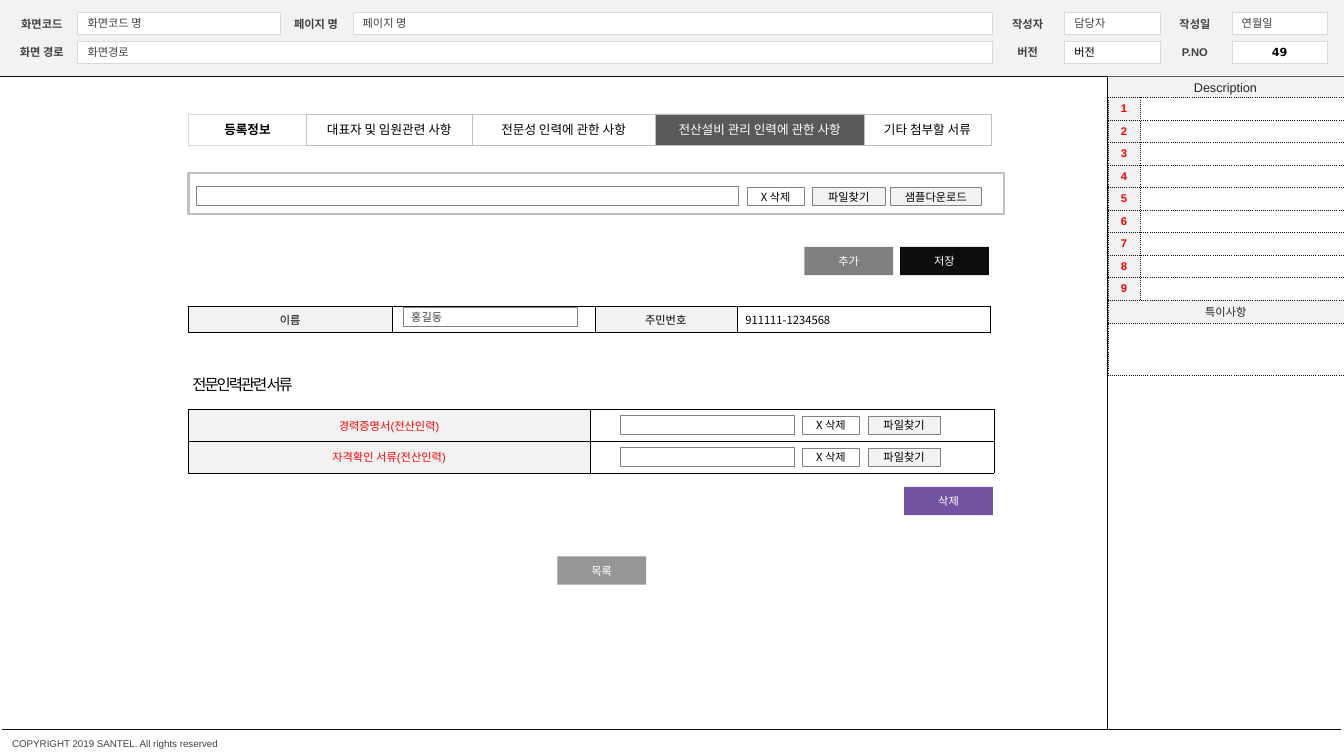
from itertools import accumulate

from lxml import etree
from pptx import Presentation
from pptx import util as u
from pptx.dml.color import RGBColor
from pptx.enum import dml, shapes, text
from pptx.oxml import ns

GRID = u.Inches(0.1)  # one column or row of the slide grid
COLS, ROWS = 133.33, 75
INK = {
    "white": "FFFFFF", "black": "000000", "near": "0D0D0D", "pale": "F2F2F2",
    "mist": "D9D9D9", "silver": "BFBFBF", "steel": "808080", "ash": "969696",
    "slate": "595959", "label": "404040", "head": "262626",
    "red": "FF0000", "violet": "7153A1",
}
SANS, KOREAN = "Arial", "Noto Sans CJK KR"
LEFT, MID = text.PP_ALIGN.LEFT, text.PP_ALIGN.CENTER


def color(name):
    return RGBColor.from_string(INK[name])


def span(n):
    return u.Emu(round(n * GRID))


def inside(box, x, y, w, h):
    """Turn a place within a box into a place on the slide."""
    return box[0] + x, box[1] + y, w, h


def write(frame, words, size=8, ink="black", font=KOREAN, bold=False, align=MID):
    frame.text = words
    para = frame.paragraphs[0]
    para.alignment = align
    for run in para.runs:
        run.font.size, run.font.bold, run.font.name = u.Pt(size), bold, font
        run.font.color.rgb = color(ink)
        east = etree.SubElement(run.font._element, ns.qn("a:ea"))
        east.set("typeface", KOREAN)


def fit(frame, pad=0):
    frame.margin_left = frame.margin_right = span(pad)
    frame.margin_top = frame.margin_bottom = 0
    frame.vertical_anchor = text.MSO_ANCHOR.MIDDLE
    frame.word_wrap = False


def rect(slide, box, words="", fill=None, line=None, width=0.5, pad=0, **style):
    shape = slide.shapes.add_shape(shapes.MSO_SHAPE.RECTANGLE, *map(span, box))
    shape.shadow.inherit = False
    if fill:
        shape.fill.solid()
        shape.fill.fore_color.rgb = color(fill)
    else:
        shape.fill.background()
    if line:
        shape.line.color.rgb = color(line)
        shape.line.width = u.Pt(width)
    else:
        shape.line.fill.background()
    if words:
        fit(shape.text_frame, pad)
        write(shape.text_frame, words, **style)


def label(slide, box, words, **style):
    frame = slide.shapes.add_textbox(*map(span, box)).text_frame
    fit(frame)
    write(frame, words, **style)
    return frame


def rule(slide, x1, y1, x2, y2):
    line = slide.shapes.add_connector(
        shapes.MSO_CONNECTOR.STRAIGHT, *map(span, (x1, y1, x2, y2)))
    line.line.color.rgb = color("near")
    line.line.width = u.Pt(0.25)
    line.line.dash_style = dml.MSO_LINE.ROUND_DOT
    etree.SubElement(line._element.spPr, ns.qn("a:effectLst"))


def edge(cell, ink, width, dash):
    props = cell._tc.get_or_add_tcPr()
    for i, side in enumerate(("lnL", "lnR", "lnT", "lnB")):
        line = etree.Element(ns.qn("a:" + side), w=str(u.Pt(width)))
        fill = etree.SubElement(line, ns.qn("a:solidFill"))
        etree.SubElement(fill, ns.qn("a:srgbClr"), val=INK[ink])
        etree.SubElement(line, ns.qn("a:prstDash"), val=dash)
        props.insert(i, line)


def table(slide, x, y, cols, rows, border):
    """Add a table of white, empty cells with the given border."""
    box = x, y, sum(cols), sum(rows)
    grid = slide.shapes.add_table(len(rows), len(cols), *map(span, box)).table
    grid.first_row = grid.horz_banding = False
    for col, w in zip(grid.columns, cols):
        col.width = span(w)
    for row, h in zip(grid.rows, rows):
        row.height = span(h)
    for cell in grid.iter_cells():
        cell.margin_left = cell.margin_right = span(0.2)
        cell.margin_top = cell.margin_bottom = span(0.2)
        cell.vertical_anchor = text.MSO_ANCHOR.MIDDLE
        shade(cell, "white")
        edge(cell, *border)
        para = cell.text_frame.paragraphs[0]._p
        etree.SubElement(para, ns.qn("a:endParaRPr"), sz="800")
    return grid


def shade(cell, ink):
    cell.fill.solid()
    cell.fill.fore_color.rgb = color(ink)


def title(cell, words, **style):
    shade(cell, "pale")
    write(cell.text_frame, words, **style)


def header(slide, box):
    rect(slide, box, fill="pale")
    fields = [  # name, value, left of name, row, left and width of value
        ("화면코드", "화면코드 명", 0.6, 0, 7.7, 20.1),
        ("화면 경로", "화면경로", 0.6, 1, 7.7, 90.7),
        ("페이지 명", "페이지 명", 27.8, 0, 35, 63.4),
        ("작성자", "담당자", 98.4, 0, 105.6, 9.5),
        ("버전", "버전", 98.4, 1, 105.6, 9.5),
        ("작성일", "연월일", 115, 0, 122.2, 9.5),
        ("P.NO", "49", 115, 1, 122.2, 9.5),
    ]
    for name, value, x, row, left, wide in fields:
        y = 1.2 + 2.85 * row
        label(slide, inside(box, x, y + 0.5, 7.1, 1.3), name,
              font=SANS, ink="label", bold=True)
        style = dict(font=SANS, ink="label", align=LEFT, pad=1)
        if value == "버전":
            style["ink"] = "black"
        if name == "P.NO":
            style = dict(font="DejaVu Sans", bold=True)
        rect(slide, inside(box, left, y, wide, 2.2), value,
             fill="white", line="mist", width=0.25, **style)
    rule(slide, 0, box[3], COLS, box[3])


def notes(slide, box):
    """Draw the description column at the right."""
    x, y, w, h = box
    rect(slide, (x, y, w, 2.1), "Description", fill="pale",
         size=9, ink="head", font=SANS)
    rule(slide, x, y + 2.1, x + w, y + 2.1)
    rule(slide, x, y, x, y + h)
    rows = [2.23] * 9 + [2.3, 5.2]
    grid = table(slide, x + 0.1, y + 2.1, (3.2, w - 3.3), rows,
                 ("near", 0.5, "sysDot"))
    for i in range(9):
        title(grid.cell(i, 0), str(i + 1), ink="red", font=SANS, bold=True)
    for i in (9, 10):
        grid.cell(i, 0).merge(grid.cell(i, 1))
    title(grid.cell(9, 0), "특이사항", ink="head", font=SANS)


def tabs(slide, box):
    names = ("등록정보", "대표자 및 임원관련 사항", "전문성 인력에 관한 사항",
             "전산설비 관리 인력에 관한 사항", "기타 첨부할 서류")
    wide = (11.7, 16.4, 18.2, 20.7, 12.6)
    lefts = accumulate(wide[:-1], initial=0)
    for i, (name, x, w) in enumerate(zip(names, lefts, wide)):
        live = i == 3
        rect(slide, inside(box, x, 0, w, box[3]), name,
             fill="slate" if live else None, ink="white" if live else "black",
             line="silver" if i else "mist", width=0.25, size=9, bold=i == 0)


def upload(slide, x, y, wide, sample=False):
    """Draw a file field with its buttons."""
    rect(slide, (x, y, wide, 1.9), fill="white", line="steel")
    keys = [("X 삭제", 5.7, "white", 0.8), ("파일찾기", 7.2, "pale", 0.8)]
    if sample:
        keys.append(("샘플다운로드", 9.1, "pale", 0.5))
    x += wide
    for name, w, fill, gap in keys:
        rect(slide, (x + gap, y + 0.1, w, 1.8), name, fill=fill, line="steel")
        x += gap + w


def button(slide, x, y, name, fill):
    rect(slide, (x, y, 8.8, 2.8), name, fill=fill, ink="white")


def person(slide, box):
    x, y, _, h = box
    grid = table(slide, x, y, (20.2, 20.1, 14.1, 25.1), [h],
                 ("black", 0.25, "solid"))
    title(grid.cell(0, 0), "이름", font=SANS)
    title(grid.cell(0, 2), "주민번호")
    code = grid.cell(0, 3)
    code.margin_left = span(0.85)
    write(code.text_frame, "911111-1234568", align=LEFT)
    rect(slide, inside(box, 21.3, 0.1, 17.3, 1.9), "홍길동", fill="white",
         line="steel", font=SANS, ink="label", align=LEFT, pad=0.8)


def papers(slide, box):
    x, y, w, h = box
    frame = label(slide, inside(box, 0.4, -3.9, 22.4, 2.9), "전문인력관련 서류",
                  size=11, font=SANS, align=LEFT)
    frame.paragraphs[0].runs[0].font._element.set("spc", "-150")
    names = "경력증명서(전산인력)", "자격확인 서류(전산인력)"
    step = h / len(names)
    grid = table(slide, x, y, (39.8, w - 39.8), [step] * len(names),
                 ("black", 0.25, "solid"))
    for i, name in enumerate(names):
        title(grid.cell(i, 0), name, ink="red", font=SANS)
        upload(slide, x + 42.8, y + 0.6 + i * step, 17.3)


def form(slide, box):
    x, y, w, _ = box
    tabs(slide, (x, y, w, 3.1))
    upload(slide, x + 0.8, y + 7.2, 53.8, sample=True)
    rect(slide, (x, y + 5.9, 80.9, 4), line="silver", width=1.5)
    button(slide, x + 61.1, y + 13.2, "추가", "steel")
    button(slide, x + 70.6, y + 13.2, "저장", "near")
    person(slide, (x, y + 19.1, w, 2.6))
    papers(slide, (x, y + 29.3, w, 6.3))
    button(slide, x + 71, y + 37, "삭제", "violet")
    button(slide, x + 36.6, y + 43.9, "목록", "ash")


def footer(slide, box):
    rule(slide, 0.2, box[1], COLS - 0.4, box[1])
    label(slide, inside(box, 1.2, 0.9, 36.5, 1.2),
          "COPYRIGHT 2019 SANTEL. All rights reserved",
          size=7, ink="label", font=SANS, align=LEFT)


def main():
    deck = Presentation()
    deck.slide_width, deck.slide_height = span(COLS), span(ROWS)
    slide = deck.slides.add_slide(deck.slide_layouts[6])
    header(slide, (0, 0, COLS, 7.55))
    notes(slide, (109.8, 7.6, COLS - 109.8, 64.7))
    form(slide, (18.7, 11.3, 79.9, 46.7))
    footer(slide, (0, 72.3, COLS, 2.7))
    deck.save("out.pptx")


if __name__ == "__main__":
    main()
